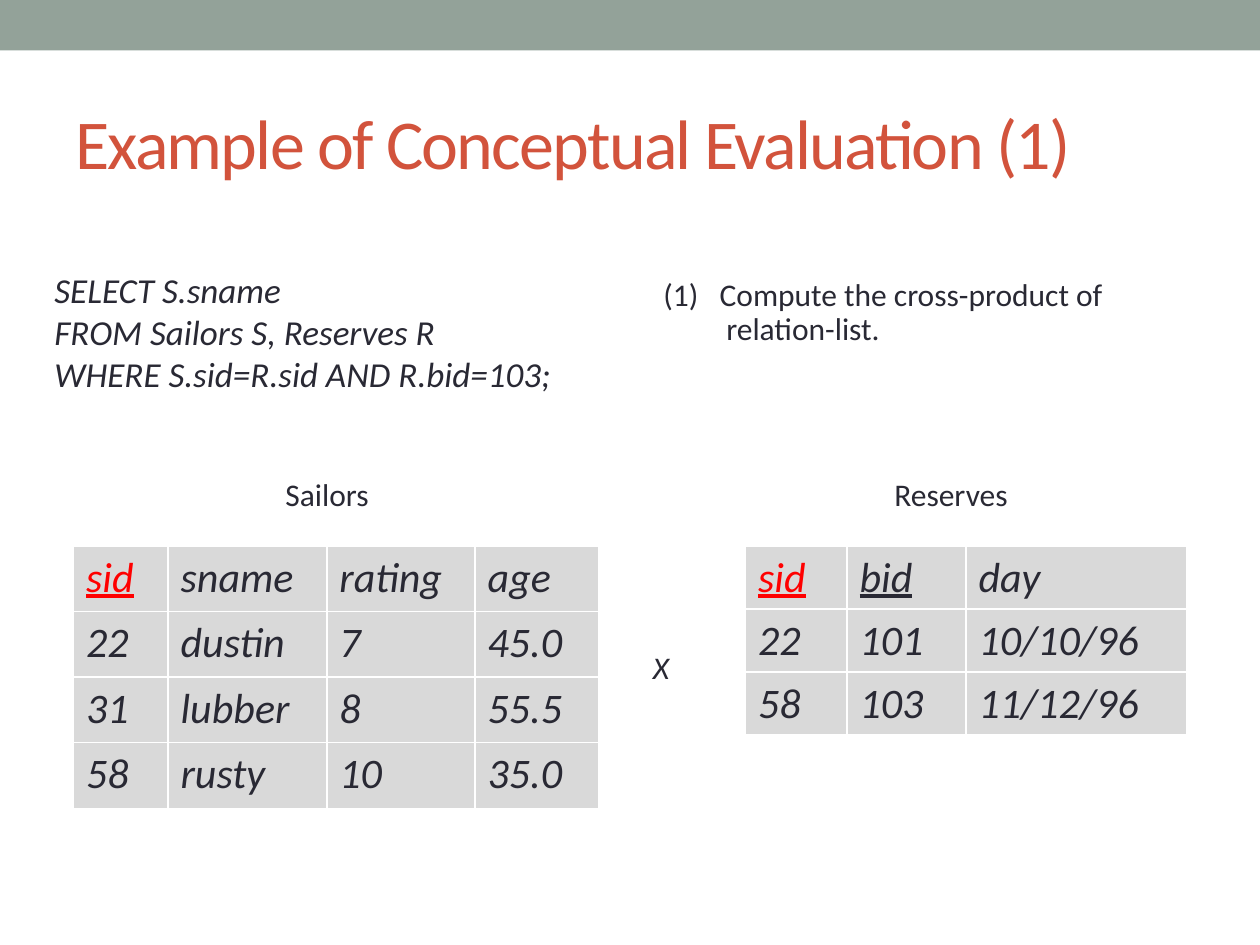
import pptx
import pptx.dml.color
import pptx.enum.shapes
import pptx.enum.text
import pptx.oxml.ns
import pptx.util
from lxml import etree

Pt = pptx.util.Pt
RGBColor = pptx.dml.color.RGBColor
qn = pptx.oxml.ns.qn

SAGE = RGBColor(0x93, 0xA2, 0x99)
RUST = RGBColor(0xD2, 0x53, 0x3C)
INK = RGBColor(0x29, 0x29, 0x34)
RED = RGBColor(0xFF, 0x00, 0x00)
GREY = RGBColor(0xD9, 0xD9, 0xD9)
WHITE = RGBColor(0xFF, 0xFF, 0xFF)

SAILORS = [
    ["sid", "sname", "rating", "age"],
    ["22", "dustin", "7", "45.0"],
    ["31", "lubber", "8", "55.5"],
    ["58", "rusty", "10", "35.0"],
]
RESERVES = [
    ["sid", "bid", "day"],
    ["22", "101", "10/10/96"],
    ["58", "103", "11/12/96"],
]
QUERY = """SELECT S.sname
FROM Sailors S, Reserves R
WHERE S.sid=R.sid AND R.bid=103;"""


def write_text(tf, text, size=18, color=INK, italic=False, underline=False,
               hanging=0, line_spacing=None, space_before=None, tracking=0):
    for i, line in enumerate(text.split("\n")):
        p = tf.add_paragraph() if i else tf.paragraphs[0]
        p.line_spacing = line_spacing
        p.space_before = space_before
        if hanging:
            pPr = p._p.get_or_add_pPr()
            pPr.set("marL", str(Pt(hanging)))
            pPr.set("indent", str(-Pt(hanging)))
        r = p.add_run()
        r.text = line
        r.font.name = "Calibri"
        r.font.size = Pt(size)
        r.font.color.rgb = color
        r.font.italic = italic
        r.font.underline = underline
        if tracking:
            r._r.get_or_add_rPr().set("spc", str(tracking * 100))


def add_text(s, x, y, w, h, text, wrap=False,
             anchor=pptx.enum.text.MSO_ANCHOR.TOP, **style):
    tf = s.shapes.add_textbox(Pt(x), Pt(y), Pt(w), Pt(h)).text_frame
    tf.word_wrap = wrap
    tf.vertical_anchor = anchor
    write_text(tf, text, **style)


def add_band(s, x, y, w, h, color):
    sp = s.shapes.add_shape(pptx.enum.shapes.MSO_SHAPE.RECTANGLE,
                            Pt(x), Pt(y), Pt(w), Pt(h))
    sp.shadow.inherit = False
    sp.fill.solid()
    sp.fill.fore_color.rgb = color
    sp.line.fill.background()


def set_borders(cell, color, width):
    tcPr = cell._tc.get_or_add_tcPr()
    for i, side in enumerate(("lnL", "lnR", "lnT", "lnB")):
        ln = etree.Element(qn(f"a:{side}"), w=str(Pt(width)))
        fill = etree.SubElement(ln, qn("a:solidFill"))
        etree.SubElement(fill, qn("a:srgbClr"), val=str(color))
        tcPr.insert(i, ln)


def add_relation(s, x, y, rows, widths, row_height, keys):
    frame = s.shapes.add_table(len(rows), len(widths), Pt(x), Pt(y),
                               Pt(sum(widths)), Pt(row_height * len(rows)))
    table = frame.table
    for column, width in zip(table.columns, widths):
        column.width = Pt(width)
    for i, values in enumerate(rows):
        table.rows[i].height = Pt(row_height)
        for j, value in enumerate(values):
            cell = table.cell(i, j)
            cell.fill.solid()
            cell.fill.fore_color.rgb = GREY
            set_borders(cell, WHITE, 1)
            write_text(cell.text_frame, value, size=24, italic=True,
                       color=RED if value == "sid" else INK,
                       underline=value in keys, hanging=27)


def main():
    prs = pptx.Presentation()
    prs.slide_width, prs.slide_height = Pt(720), Pt(540)
    s = prs.slides.add_slide(prs.slide_layouts[6])

    add_band(s, 0, 0, 720, 28.8, SAGE)
    add_text(s, 36, 42, 648, 78, "Example of Conceptual Evaluation (1)",
             wrap=True, anchor=pptx.enum.text.MSO_ANCHOR.MIDDLE,
             size=40, color=RUST, tracking=-1)

    add_relation(s, 42, 312, SAILORS, [54, 90.75, 84.75, 70.5], 37.5, {"sid"})
    add_text(s, 372, 156, 330, 70.5,
             "(1)\u00a0\u00a0 Compute the cross-product of relation-list.",
             wrap=True, hanging=36, line_spacing=0.9, space_before=Pt(3.6))
    add_text(s, 24, 150, 300, 80, QUERY, size=20, italic=True)
    add_text(s, 156, 268, 62.5, 29, "Sailors")
    add_text(s, 504, 268, 80, 29, "Reserves")
    add_relation(s, 426, 312, RESERVES, [58, 68, 126], 34, {"sid", "bid"})
    add_text(s, 366, 366.5, 24, 29, "X", italic=True)

    prs.save("out.pptx")


if __name__ == "__main__":
    main()
